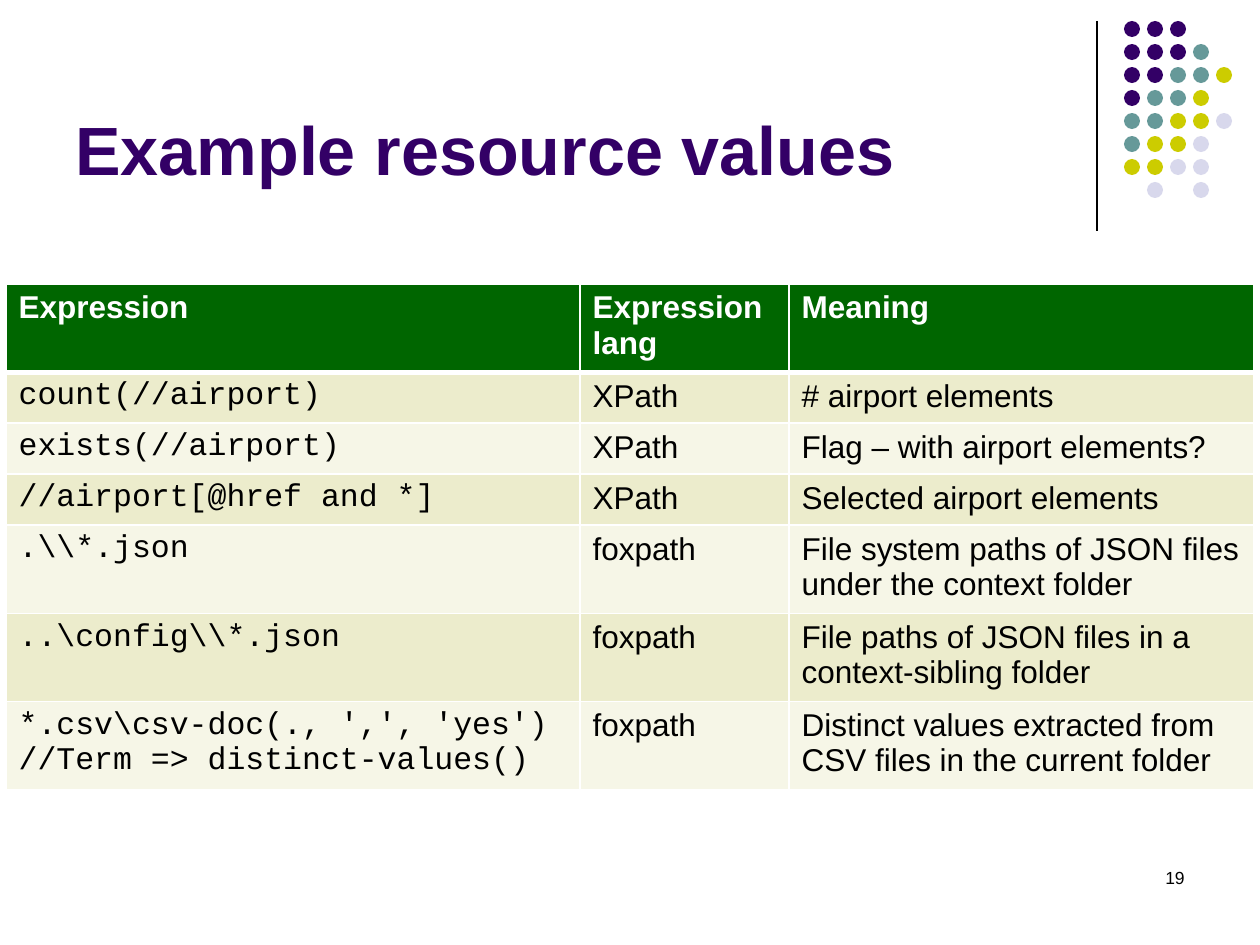
import dataclasses

import pptx
import pptx.dml.color
import pptx.enum.shapes
import pptx.enum.text
import pptx.oxml
import pptx.oxml.ns
import pptx.util

EMU_PER_PX = 914400 / 126


@dataclasses.dataclass(frozen=True)
class Theme:
    purple: str = "330066"
    teal: str = "669999"
    lime: str = "CCCC00"
    lavender: str = "D8D8EC"
    header_green: str = "006600"
    band_dark: str = "ECECCC"
    band_light: str = "F6F6E7"
    black: str = "000000"
    white: str = "FFFFFF"
    font: str = "Arial"
    code_font: str = "Courier New"
    title_size: int = 39
    table_size: int = 18
    number_size: int = 10
    rule_width: float = 0.75
    border_width: int = 1
    header_border_width: int = 3


THEME = Theme()

# One letter per dot: purple, teal, lime, lavender (V); a dot means no circle.
DOT_ROWS = ["PPP..", "PPPT.", "PPTTL", "PTTL.", "TTLLV", "TLLV.", "LLVV.", ".V.V."]
DOT_COLORS = {"P": THEME.purple, "T": THEME.teal, "L": THEME.lime, "V": THEME.lavender}

COLUMN_WIDTHS = [574, 209, 465]
ROW_HEIGHT = 51
RESOURCE_ROWS = [
    ("Expression", "Expression lang", "Meaning"),
    ("count(//airport)", "XPath", "# airport elements"),
    ("exists(//airport)", "XPath", "Flag – with airport elements?"),
    ("//airport[@href and *]", "XPath", "Selected airport elements"),
    (r".\\*.json", "foxpath", "File system paths of JSON files under the context folder"),
    (r"..\config\\*.json", "foxpath", "File paths of JSON files in a context-sibling folder"),
    ("*.csv\\csv-doc(., ',', 'yes')\n//Term => distinct-values()", "foxpath",
     "Distinct values extracted from CSV files in the current folder"),
]


def px(length):
    return pptx.util.Emu(round(length * EMU_PER_PX))


def rgb(color):
    return pptx.dml.color.RGBColor.from_string(color)


def write_text(frame, text, size, color, font=THEME.font, bold=False, align=None):
    frame.word_wrap = True
    frame.text = text
    for paragraph in frame.paragraphs:
        paragraph.alignment = align
        paragraph.font.name = font
        paragraph.font.size = pptx.util.Pt(size)
        paragraph.font.bold = bold
        paragraph.font.color.rgb = rgb(color)


def add_label(slide, box, text, size, color, anchor, **style):
    label = slide.shapes.add_textbox(*map(px, box))
    label.text_frame.vertical_anchor = anchor
    write_text(label.text_frame, text, size, color, **style)


def add_rule(slide, x, top, bottom):
    rule = slide.shapes.add_connector(
        pptx.enum.shapes.MSO_CONNECTOR.STRAIGHT, px(x), px(top), px(x), px(bottom))
    rule.line.color.rgb = rgb(THEME.black)
    rule.line.width = pptx.util.Pt(THEME.rule_width)
    properties = rule._element.spPr
    properties.append(properties.makeelement(pptx.oxml.ns.qn("a:effectLst"), {}))


def add_dot_grid(slide, left, top, pitch, diameter):
    dots = slide.shapes.add_group_shape().shapes
    for row, letters in enumerate(DOT_ROWS):
        for column, letter in enumerate(letters):
            if letter not in DOT_COLORS:
                continue
            dot = dots.add_shape(
                pptx.enum.shapes.MSO_SHAPE.OVAL, px(left + column * pitch),
                px(top + row * pitch), px(diameter), px(diameter))
            dot.shadow.inherit = False
            dot.fill.solid()
            dot.fill.fore_color.rgb = rgb(DOT_COLORS[letter])
            dot.line.fill.background()


def set_borders(cell, widths):
    """Draw white borders; widths maps a side (L, R, T, B) to points."""
    properties = cell._tc.get_or_add_tcPr()
    for side, width in widths.items():
        properties.append(pptx.oxml.parse_xml(
            f'<a:ln{side} {pptx.oxml.ns.nsdecls("a")} w="{pptx.util.Pt(width)}">'
            f'<a:solidFill><a:srgbClr val="{THEME.white}"/></a:solidFill></a:ln{side}>'))


def style_cell(cell, text, row, column):
    is_header = row == 0
    widths = dict.fromkeys("LRTB", THEME.border_width)
    if is_header:
        widths["B"] = THEME.header_border_width
        fill = THEME.header_green
    else:
        fill = THEME.band_dark if row % 2 else THEME.band_light
    if row == 1:
        widths["T"] = THEME.header_border_width
    set_borders(cell, widths)
    cell.fill.solid()
    cell.fill.fore_color.rgb = rgb(fill)
    is_code = column == 0 and not is_header
    write_text(cell.text_frame, text, THEME.table_size,
               THEME.white if is_header else THEME.black,
               font=THEME.code_font if is_code else THEME.font, bold=is_header)


def add_resource_table(slide, left, top):
    table = slide.shapes.add_table(
        len(RESOURCE_ROWS), len(COLUMN_WIDTHS), px(left), px(top),
        px(sum(COLUMN_WIDTHS)), px(ROW_HEIGHT * len(RESOURCE_ROWS))).table
    for column, width in zip(table.columns, COLUMN_WIDTHS):
        column.width = px(width)
    for row, texts in enumerate(RESOURCE_ROWS):
        for column, text in enumerate(texts):
            style_cell(table.cell(row, column), text, row, column)


def main():
    presentation = pptx.Presentation()
    presentation.slide_width = px(1260)
    presentation.slide_height = px(945)
    slide = presentation.slides.add_slide(presentation.slide_layouts[6])

    add_rule(slide, x=1097, top=21, bottom=231)
    add_dot_grid(slide, left=1124, top=21, pitch=23, diameter=16)
    add_label(slide, (63, 16, 1040, 179), "Example resource values",
              THEME.title_size, THEME.purple,
              pptx.enum.text.MSO_ANCHOR.BOTTOM, bold=True)
    add_resource_table(slide, left=6, top=284)
    add_label(slide, (903, 861, 294, 63), "19", THEME.number_size, THEME.black,
              pptx.enum.text.MSO_ANCHOR.TOP, align=pptx.enum.text.PP_ALIGN.RIGHT)

    presentation.save("out.pptx")


if __name__ == "__main__":
    main()
